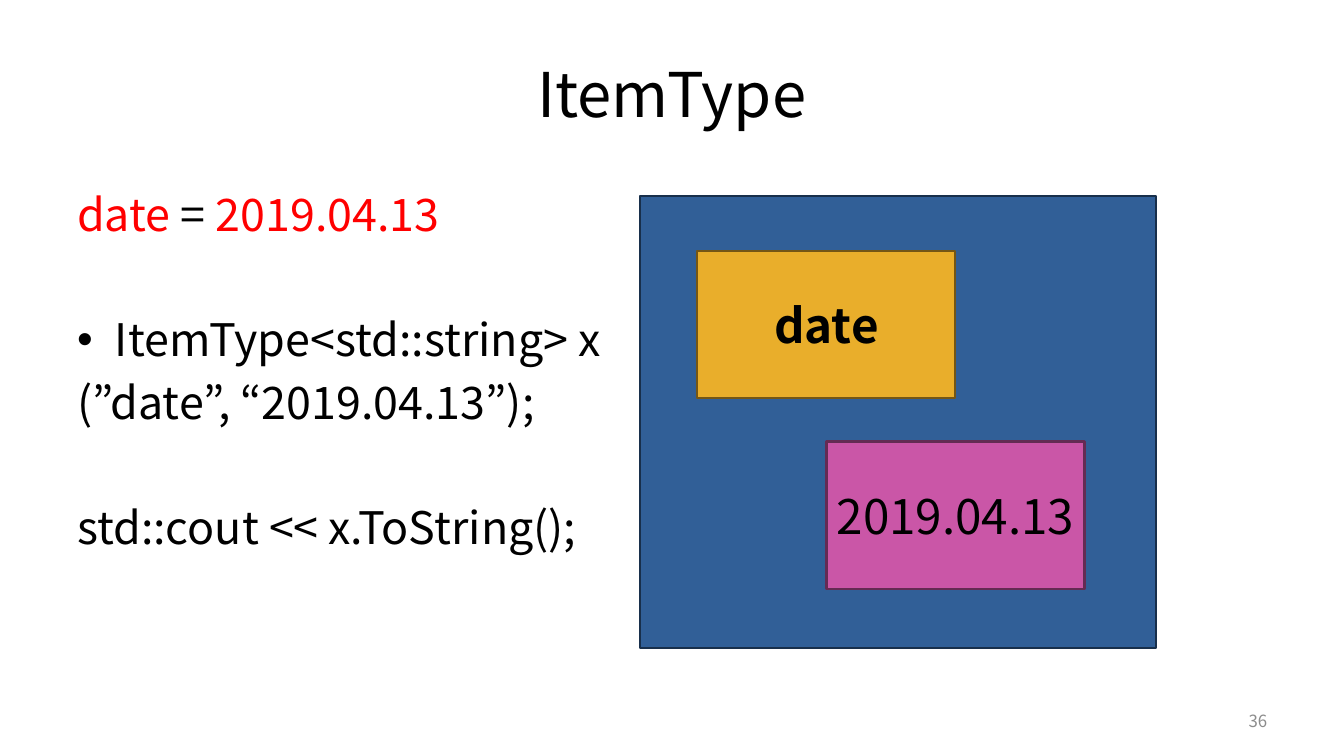
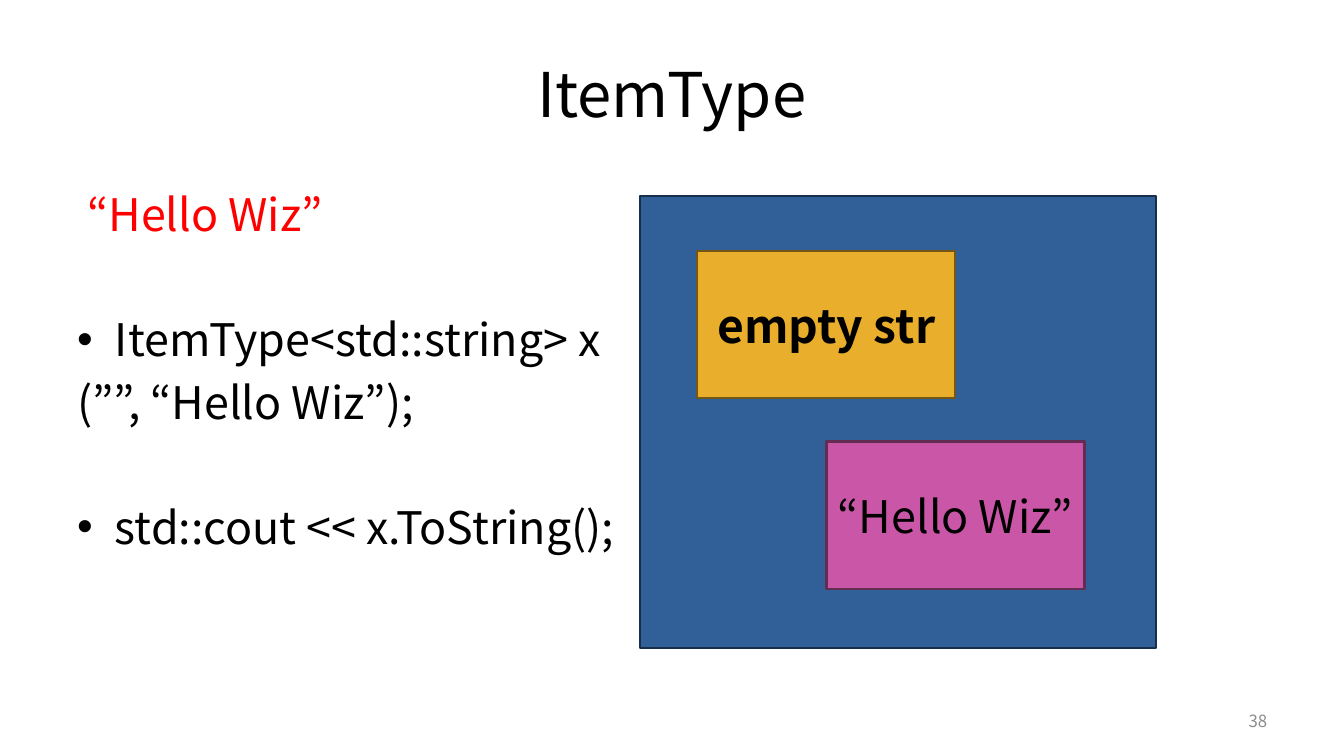
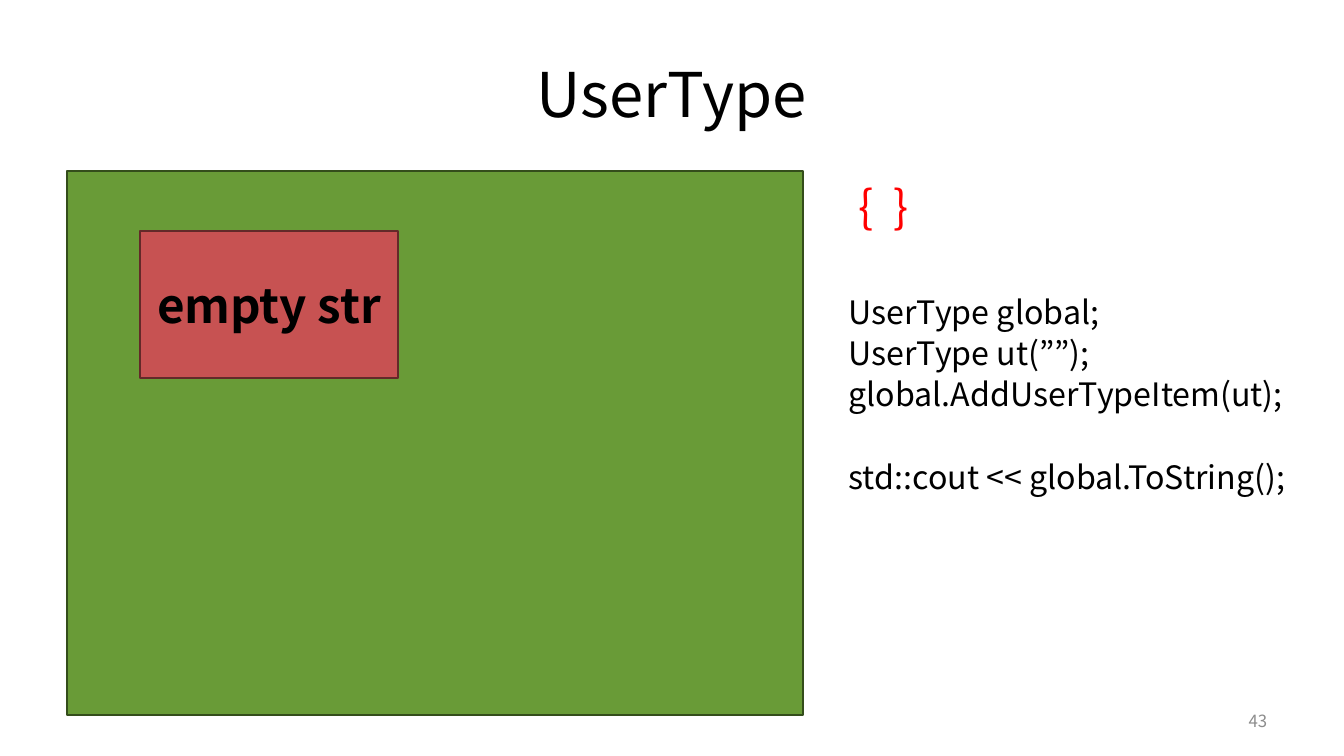
from lxml import etree
from pptx import Presentation
from pptx.dml.color import RGBColor
from pptx.enum import shapes, text
from pptx.oxml.ns import qn
from pptx.util import Pt

FACE = "Noto Sans CJK KR"
HUES = {
    "ink": "000000", "red": "FF0000", "gray": "8C8C8C",
    "blue": "315F97", "navy": "182F4B", "gold": "E9AE2B", "brown": "745615",
    "pink": "CA56A7", "plum": "642B53", "green": "699B37", "moss": "344D1B",
    "rose": "C75252", "wine": "632929",
}
LEFT, CENTER, RIGHT = (text.PP_ALIGN.LEFT, text.PP_ALIGN.CENTER,
                       text.PP_ALIGN.RIGHT)
TOP, MIDDLE = text.MSO_ANCHOR.TOP, text.MSO_ANCHOR.MIDDLE
TILE = (184.3, 105.1)
HANG = 27


def hue(name):
    return RGBColor.from_string(HUES[name])


def assign(target, **values):
    for name, value in values.items():
        setattr(target, name, value)


class Deck:
    def __init__(self):
        self.prs = Presentation()
        assign(self.prs, slide_width=Pt(960), slide_height=Pt(540))
        self.slide = None

    def start(self, title, number):
        """Add a slide with its title and page number."""
        self.slide = self.prs.slides.add_slide(self.prs.slide_layouts[6])
        self.label((48, 21.6, 864, 90), title, 44, "ink", CENTER)
        self.label((688.3, 500.4, 223.9, 28.8), number, 12, "gray", RIGHT)

    def frame(self, box, anchor):
        frame = self.slide.shapes.add_textbox(*map(Pt, box)).text_frame
        assign(frame, word_wrap=True, vertical_anchor=anchor)
        return frame

    def span(self, para, words, size, color, bold=False):
        """Add one styled run to a paragraph."""
        run = para.add_run()
        run.text = words
        assign(run.font, name=FACE, size=Pt(size), bold=bold)
        run.font.color.rgb = hue(color)

    def label(self, box, words, size, color, align):
        para = self.frame(box, MIDDLE).paragraphs[0]
        para.alignment = align
        self.span(para, words, size, color)

    def body(self, box, rows):
        """Set rows of (runs, format); a run is (words, color)."""
        frame = self.frame(box, TOP)
        for i, (runs, form) in enumerate(rows):
            look = {"size": 32, "pitch": 44.6, "before": 0, "indent": 0,
                    "bullet": False, **form}
            para = frame.add_paragraph() if i else frame.paragraphs[0]
            assign(para, alignment=LEFT, line_spacing=Pt(look["pitch"]),
                   space_before=Pt(look["before"]))
            props = para._p.get_or_add_pPr()
            if look["bullet"]:
                props.set("marL", str(Pt(HANG)))
                props.set("indent", str(-Pt(HANG)))
                etree.SubElement(props, qn("a:buFont")).set("typeface", "Arial")
                etree.SubElement(props, qn("a:buChar")).set("char", "•")
            elif look["indent"]:
                props.set("indent", str(Pt(look["indent"])))
            for words, color in runs:
                self.span(para, words, look["size"], color)

    def block(self, box, fill, edge):
        kind = shapes.MSO_SHAPE.RECTANGLE
        block = self.slide.shapes.add_shape(kind, *map(Pt, box))
        block.shadow.inherit = False
        block.fill.solid()
        block.fill.fore_color.rgb = hue(fill)
        block.line.color.rgb = hue(edge)
        block.line.width = Pt(1.5)
        return block

    def tile(self, spot, fill, edge, words, size, bold=False):
        frame = self.block(spot + TILE, fill, edge).text_frame
        assign(frame, word_wrap=True, vertical_anchor=MIDDLE,
               margin_left=Pt(3.6), margin_right=Pt(3.6))
        para = frame.paragraphs[0]
        para.alignment = CENTER
        self.span(para, words, size, "ink", bold)

    def item(self, number, head, call, last, key, value):
        """Build an ItemType slide; key and value are (words, size)."""
        self.start("ItemType", number)
        self.body((48, 126, 864, 356.4), [
            head,
            ([("ItemType<std::string> x", "ink")],
             {"bullet": True, "before": 44.6}),
            ([(call, "ink")], {}),
            ([("std::cout << x.ToString();", "ink")],
             {"bullet": last, "before": 44.6}),
        ])
        self.block((457.2, 139.7, 368.6, 323.3), "blue", "navy")
        self.tile((498.2, 179.3), "gold", "brown", *key, bold=True)
        self.tile((590.4, 315.4), "pink", "plum", *value)

    def user(self, number):
        self.start("UserType", number)
        self.block((48, 122.4, 525.6, 388.1), "green", "moss")
        self.tile((100.1, 164.9), "rose", "wine", "empty str", 34, bold=True)
        code = {"size": 23, "pitch": 29.6}
        self.body((599, 126, 360.7, 356.4), [
            ([("{  }", "red")], {"pitch": 36.4, "indent": 7.2}),
            ([("UserType global;", "ink")], {**code, "before": 40.5}),
            ([("UserType ut(””);", "ink")], code),
            ([("global.AddUserTypeItem(ut);", "ink")], code),
            ([("std::cout << global.ToString();", "ink")],
             {**code, "before": 29.6}),
        ])


def main():
    deck = Deck()
    date = [("date ", "red"), ("= ", "ink"), ("2019.04.13", "red")]
    deck.item("36", (date, {"pitch": 42.5}), "(”date”, “2019.04.13”);", False,
              ("date", 34), ("2019.04.13", 34))
    hello = [("“Hello Wiz”", "red")]
    deck.item("38", (hello, {"pitch": 42.5, "indent": 7.2}),
              "(””, “Hello Wiz”);", True, ("empty str", 33),
              ("“Hello Wiz”", 32))
    deck.user("43")
    deck.prs.save("out.pptx")


if __name__ == "__main__":
    main()
